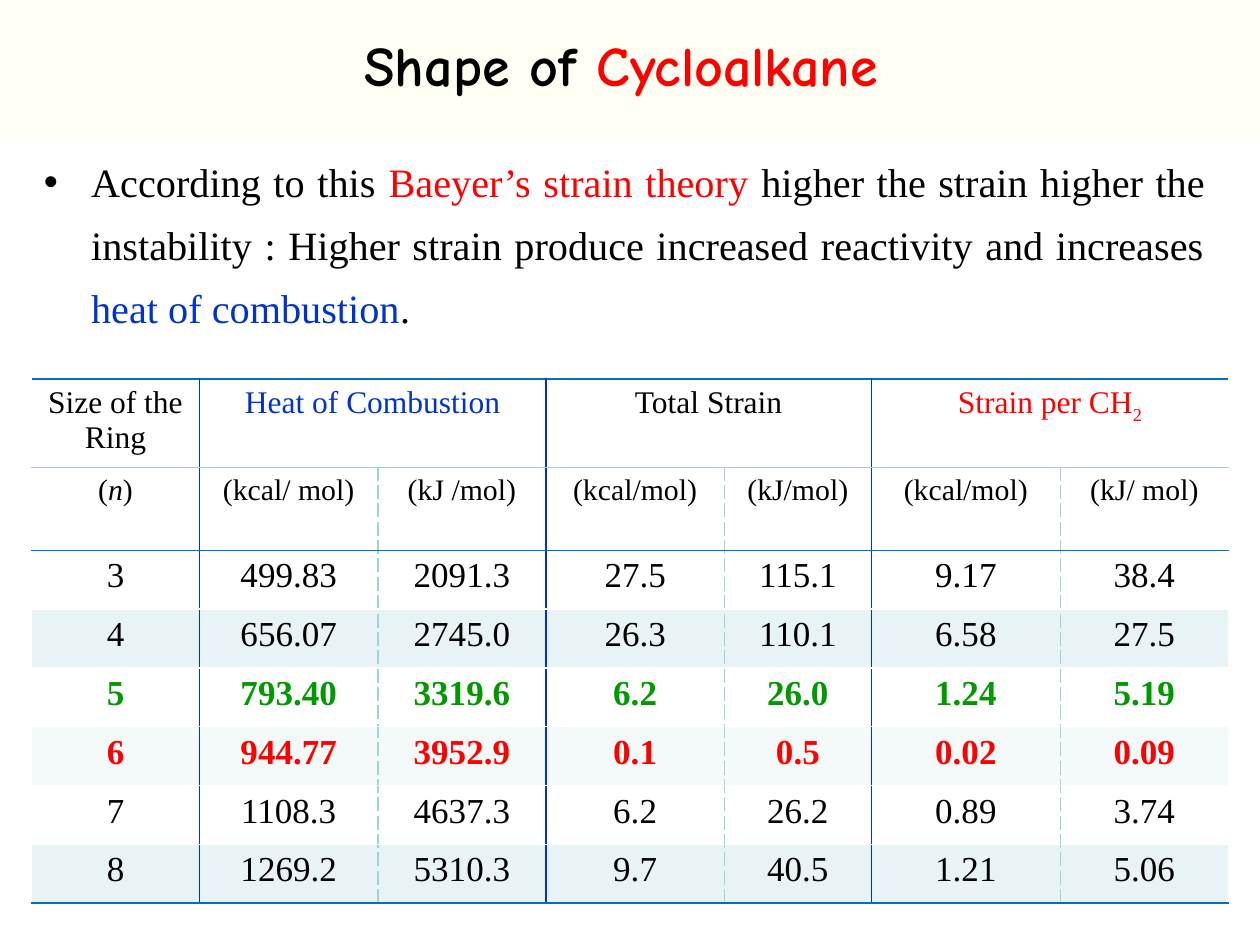
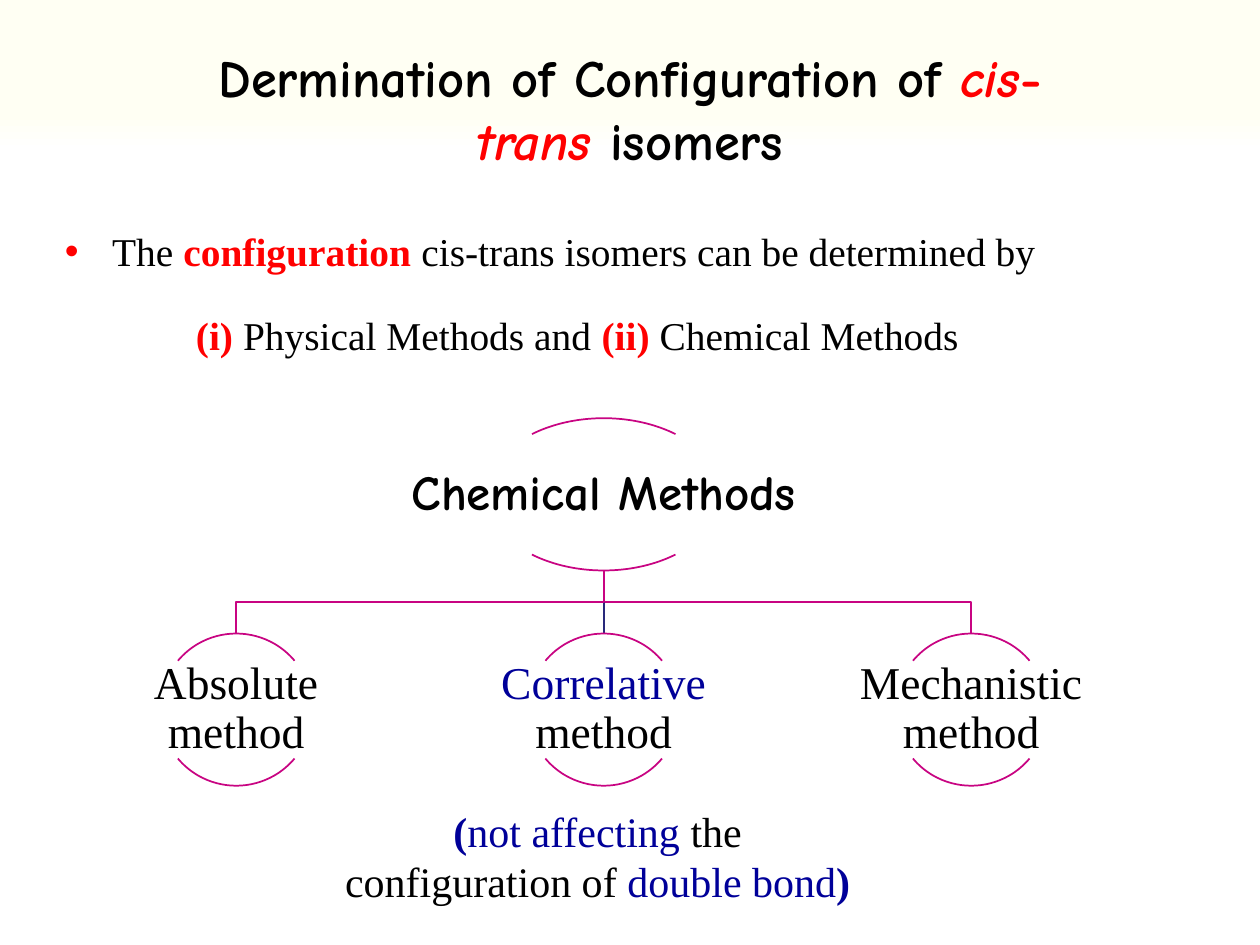
"""Build two chemistry slides: cycloalkane strain and cis-trans configuration."""
from dataclasses import dataclass

from lxml import etree
from pptx import Presentation
from pptx.dml.color import RGBColor
from pptx.enum import shapes, text
from pptx.oxml import ns
from pptx.util import Pt


@dataclass(frozen=True)
class Theme:
    black: str = "000000"
    white: str = "FFFFFF"
    cream: str = "FFFFF3"
    red: str = "FF0000"
    blue: str = "0033CC"
    navy: str = "000099"
    green: str = "009900"
    rule: str = "0070C0"
    aqua: str = "9ED3D7"
    band: str = "E7F3F4"
    pale_band: str = "F4FAFA"
    magenta: str = "C80482"
    stem: str = "29297B"
    title_font: str = "Comic Neue"
    body_font: str = "Times New Roman"
    title: float = 32
    long_title: float = 30
    body: float = 23
    small_body: float = 22.5
    head: float = 18
    unit: float = 17
    data: float = 20
    root: float = 28
    leaf: float = 26
    note: float = 24


theme = Theme()
align = text.PP_ALIGN


def write_runs(paragraph, size, pieces, font=theme.body_font, alignment=align.CENTER):
    """Write (text, colour, style letters) pieces; b bold, i italic, s subscript."""
    paragraph.alignment = alignment
    for words, colour, style in pieces:
        run = paragraph.add_run()
        run.text = words
        run.font.name = font
        run.font.size = Pt(size)
        run.font.bold = "b" in style
        run.font.italic = "i" in style
        run.font.color.rgb = RGBColor.from_string(colour)
        if "s" in style:
            run.font._element.set("baseline", "-25000")


def add_text(slide, box, size, pieces, font=theme.body_font, bullet=None):
    """Add a wrapping text box, bulleted and justified if a bullet colour is given."""
    frame = slide.shapes.add_textbox(*map(Pt, box)).text_frame
    frame.word_wrap = True
    paragraph = frame.paragraphs[0]
    if bullet:
        properties = paragraph._p.get_or_add_pPr()
        properties.set("marL", str(Pt(27)))
        properties.set("indent", str(-Pt(27)))
        colour = etree.SubElement(properties, ns.qn("a:buClr"))
        etree.SubElement(colour, ns.qn("a:srgbClr"), val=bullet)
        etree.SubElement(properties, ns.qn("a:buFont"), typeface="Arial")
        etree.SubElement(properties, ns.qn("a:buChar"), char="•")
    write_runs(paragraph, size, pieces, font, align.JUSTIFY if bullet else align.CENTER)
    return frame


presentation = Presentation()
presentation.slide_width, presentation.slide_height = Pt(720), Pt(540)
background = presentation.slide_master.background.fill
background.gradient()
background.gradient_angle = 270
stops = ((0.12, theme.cream), (0.16, theme.white))
for stop, (position, colour) in zip(background.gradient_stops, stops):
    stop.position = position
    stop.color.rgb = RGBColor.from_string(colour)

titles = [
    ((96, 14, 518, 46), theme.title,
     [("Shape of ", theme.black, "b"), ("Cycloalkane", theme.red, "b")]),
    ((90, 22, 540, 80), theme.long_title,
     [("Dermination of Configuration of ", theme.black, "b"), ("cis", theme.red, "bi"),
      ("-", theme.red, "b"), ("trans", theme.red, "bi"), (" isomers", theme.black, "b")]),
]
slides = []
for box, size, pieces in titles:
    slide = presentation.slides.add_slide(presentation.slide_layouts[5])
    title = slide.shapes.title
    title.left, title.top, title.width, title.height = map(Pt, box)
    title.text_frame.vertical_anchor = text.MSO_ANCHOR.TOP
    title.text_frame.auto_size = text.MSO_AUTO_SIZE.NONE
    write_runs(title.text_frame.paragraphs[0], size, pieces, theme.title_font)
    slides.append(slide)
strain_slide, methods_slide = slides

theory = add_text(strain_slide, (18, 78, 678, 112), theme.body, [
    ("According to this ", theme.black, ""),
    ("Baeyer’s strain theory", theme.red, ""),
    (" higher the strain higher the instability : Higher strain produce increased "
     "reactivity and increases ", theme.black, ""),
    ("heat of combustion", theme.blue, ""),
    (".", theme.black, "")], bullet=theme.black)
theory.paragraphs[0].line_spacing = Pt(36)

headings = {
    0: [("Size of the Ring", theme.black, "")],
    1: [("Heat of Combustion", theme.blue, "")],
    3: [("Total Strain", theme.black, "")],
    5: [("Strain per CH", theme.red, ""), ("2", theme.red, "s")],
}
units = ["(kcal/ mol)", "(kJ /mol)", "(kcal/mol)", "(kJ/mol)", "(kcal/mol)", "(kJ/ mol)"]
strains = [
    (theme.white, theme.black, "", "3 499.83 2091.3 27.5 115.1 9.17 38.4"),
    (theme.band, theme.black, "", "4 656.07 2745.0 26.3 110.1 6.58 27.5"),
    (theme.white, theme.green, "b", "5 793.40 3319.6 6.2 26.0 1.24 5.19"),
    (theme.pale_band, theme.red, "b", "6 944.77 3952.9 0.1 0.5 0.02 0.09"),
    (theme.white, theme.black, "", "7 1108.3 4637.3 6.2 26.2 0.89 3.74"),
    (theme.band, theme.black, "", "8 1269.2 5310.3 9.7 40.5 1.21 5.06"),
]
widths = [96, 102, 96, 102, 84, 108, 96]
heights = [50, 47.5] + [33.6] * len(strains)
table = strain_slide.shapes.add_table(
    len(heights), len(widths), Pt(18), Pt(216.6), Pt(sum(widths)), Pt(sum(heights))).table
table.first_row = table.horz_banding = False
for column, width in zip(table.columns, widths):
    column.width = Pt(width)
for row, height in zip(table.rows, heights):
    row.height = Pt(height)
for column in (1, 3, 5):
    table.cell(0, column).merge(table.cell(0, column + 1))

for column, pieces in headings.items():
    write_runs(table.cell(0, column).text_frame.paragraphs[0], theme.head, pieces)
ring_size = [("(", theme.black, ""), ("n", theme.black, "i"), (")", theme.black, "")]
unit_row = [ring_size] + [[(unit, theme.black, "")] for unit in units]
for column, pieces in enumerate(unit_row):
    write_runs(table.cell(1, column).text_frame.paragraphs[0], theme.unit, pieces)
for row, (fill, colour, style, values) in enumerate(strains, 2):
    for column, value in enumerate(values.split()):
        paragraph = table.cell(row, column).text_frame.paragraphs[0]
        write_runs(paragraph, theme.data, [(value, colour, style)])

row_fills = [theme.white, theme.white] + [strain[0] for strain in strains]
horizontals = [theme.rule, theme.aqua, theme.rule] + [theme.white] * 5 + [theme.rule]
verticals = [theme.white] + [theme.blue, theme.aqua] * 3 + [theme.white]
for row, fill in enumerate(row_fills):
    for column in range(len(widths)):
        cell = table.cell(row, column)
        left = verticals[column - cell.is_spanned]
        right = verticals[column + 1 + cell.is_merge_origin]
        sides = {"L": left, "R": right, "T": horizontals[row], "B": horizontals[row + 1]}
        for side, colour in sides.items():
            border = etree.SubElement(
                cell._tc.get_or_add_tcPr(), ns.qn(f"a:ln{side}"), w=str(Pt(1)))
            solid = etree.SubElement(border, ns.qn("a:solidFill"))
            etree.SubElement(solid, ns.qn("a:srgbClr"), val=colour)
            dashed = side in "LR" and colour == theme.aqua
            etree.SubElement(border, ns.qn("a:prstDash"), val="sysDash" if dashed else "solid")
        cell.fill.solid()
        cell.fill.fore_color.rgb = RGBColor.from_string(fill)

add_text(methods_slide, (30, 126, 660, 35), theme.small_body, [
    ("The", theme.black, ""), (" configuration ", theme.red, "b"),
    ("cis-trans isomers can be determined by", theme.black, "")], bullet=theme.red)
add_text(methods_slide, (90, 174, 480, 35), theme.small_body, [
    ("(i) ", theme.red, "b"), ("Physical Methods and ", theme.black, ""),
    ("(ii) ", theme.red, "b"), ("Chemical Methods", theme.black, "")])

centre, spread = 345, 210
root_top, leaf_top, arc_height, label_height = 239, 362, 87, 56
root_bottom = root_top + arc_height
branch_y = (root_bottom + leaf_top) / 2
for offset in (spread, 0, -spread):
    if offset:
        builder = methods_slide.shapes.build_freeform(Pt(centre), Pt(root_bottom))
        corners = [(centre, branch_y), (centre + offset, branch_y), (centre + offset, leaf_top)]
        builder.add_line_segments([(Pt(x), Pt(y)) for x, y in corners], close=False)
        branch = builder.convert_to_shape()
        branch.fill.background()
        branch.shadow.inherit = False
    else:
        branch = methods_slide.shapes.add_connector(
            shapes.MSO_CONNECTOR.STRAIGHT,
            Pt(centre), Pt(root_bottom), Pt(centre), Pt(leaf_top))
        etree.SubElement(branch._element.spPr, ns.qn("a:effectLst"))
    branch.line.color.rgb = RGBColor.from_string(theme.magenta if offset else theme.stem)
    branch.line.width = Pt(1)

methods = [
    (centre, root_top, 134, theme.root, theme.title_font,
     [("Chemical Methods", theme.black, "b")]),
    (centre - spread, leaf_top, 87, theme.leaf, theme.body_font,
     [("Absolute method", theme.black, "")]),
    (centre, leaf_top, 87, theme.leaf, theme.body_font,
     [("Correlative ", theme.navy, ""), ("method", theme.black, "")]),
    (centre + spread, leaf_top, 87, theme.leaf, theme.body_font,
     [("Mechanistic method", theme.black, "")]),
]
for middle, top, width, size, font, pieces in methods:
    for start, end in ((132, 192), (24, 84)):
        arc = methods_slide.shapes.add_shape(
            shapes.MSO_SHAPE.ARC, Pt(middle - width / 2), Pt(top), Pt(width), Pt(arc_height))
        arc.adjustments[0], arc.adjustments[1] = start, end
        arc.shadow.inherit = False
        arc.fill.background()
        arc.line.color.rgb = RGBColor.from_string(theme.magenta)
        arc.line.width = Pt(1)
    label_top = top + (arc_height - label_height) / 2
    label = add_text(methods_slide, (middle - width, label_top, 2 * width, label_height),
                     size, pieces, font)
    label.margin_left = label.margin_right = label.margin_top = label.margin_bottom = Pt(1.5)
    label.vertical_anchor = text.MSO_ANCHOR.MIDDLE
    label.paragraphs[0].line_spacing = 0.9

add_text(methods_slide, (186, 456.5, 311, 65.5), theme.note, [
    ("(", theme.navy, "b"), ("not affecting ", theme.navy, ""),
    ("the configuration of ", theme.black, ""),
    ("double bond", theme.navy, ""), (")", theme.navy, "b")])

presentation.save("out.pptx")
